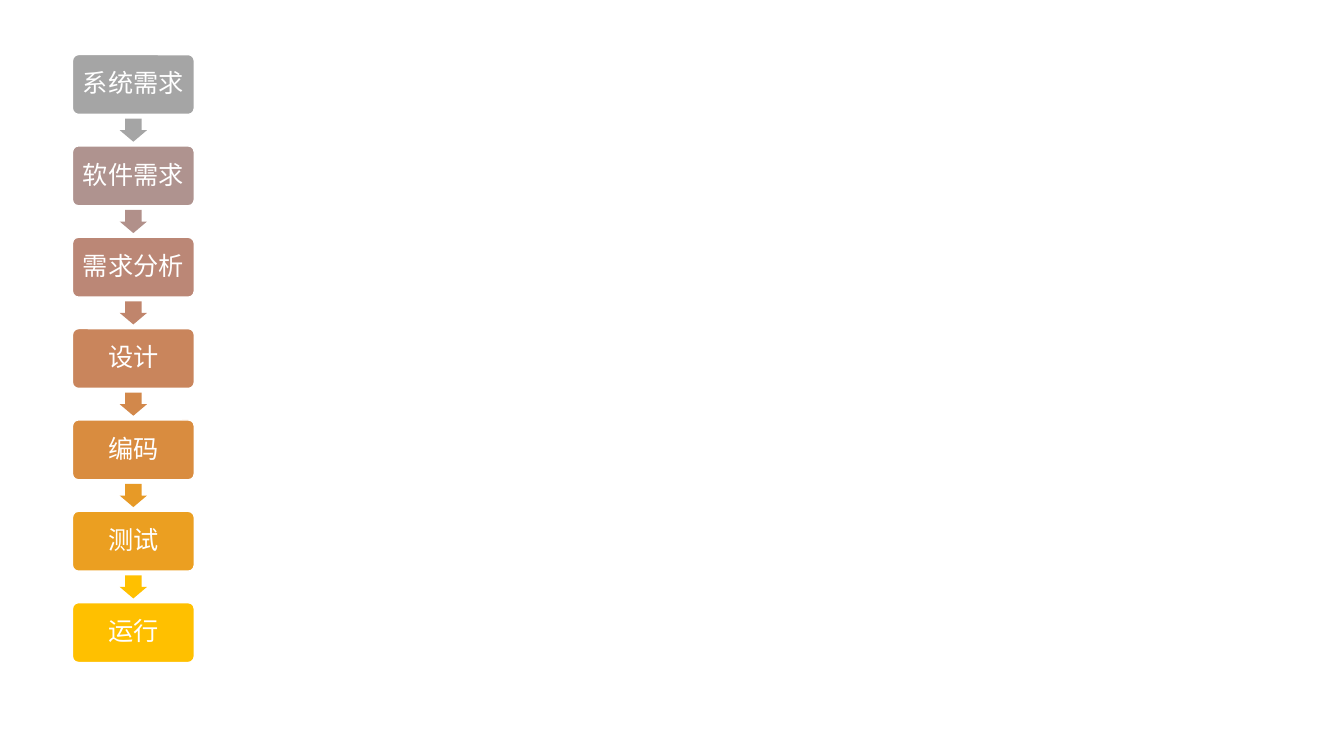
from lxml.etree import SubElement
from pptx import Presentation
from pptx.dml.color import RGBColor
from pptx.enum.shapes import MSO_SHAPE
from pptx.enum.text import MSO_ANCHOR, PP_ALIGN
from pptx.oxml.ns import qn
from pptx.util import Pt

PX = 9525  # EMU per px, 96 px to the inch

THEME = {
    "font": "Noto Sans CJK SC",
    "size": 18,
    "white": "FFFFFF",
    "steps": ["A5A5A5", "AF938F", "BB8776", "C9855C", "D98C3F", "EB9F21", "FFC000"],
    "arrows": ["A5A5A5", "B1908A", "C0856C", "D2884B", "E79A27", "FFC000"],
}

STEPS = ["系统需求", "软件需求", "需求分析", "设计", "编码", "测试", "运行"]
LEFT, TOP, WIDTH, HEIGHT, PITCH = 69, 52, 116, 57, 87
ARROW_LENGTH, ARROW_BREADTH, ARROW_OFFSET = 22, 26, 59
INSET = 7


def add_filled(page, kind, left, top, width, height, color, adjustments):
    shape = page.shapes.add_shape(kind, left * PX, top * PX, width * PX, height * PX)
    shape.shadow.inherit = False
    shape.fill.solid()
    shape.fill.fore_color.rgb = RGBColor.from_string(color)
    for index, value in enumerate(adjustments):
        shape.adjustments[index] = value
    return shape


def write_text(box, text, *, size, color, font, inset):
    frame = box.text_frame
    frame.word_wrap = True
    frame.vertical_anchor = MSO_ANCHOR.MIDDLE
    frame.margin_left = frame.margin_right = inset * PX
    frame.margin_top = frame.margin_bottom = inset * PX
    para = frame.paragraphs[0]
    para.alignment = PP_ALIGN.CENTER
    para.line_spacing = 0.9
    para.space_after = Pt(0.35 * size)
    span = para.add_run()
    span.text = text
    span.font.size = Pt(size)
    span.font.color.rgb = RGBColor.from_string(color)
    span.font.name = font
    SubElement(span.font._element, qn("a:ea"), typeface=font)


deck = Presentation()
deck.slide_width, deck.slide_height = 1280 * PX, 720 * PX
page = deck.slides.add_slide(deck.slide_layouts[6])

# Waterfall steps from top to bottom
for index, (label, color) in enumerate(zip(STEPS, THEME["steps"])):
    box = add_filled(page, MSO_SHAPE.ROUNDED_RECTANGLE, LEFT, TOP + index * PITCH,
                     WIDTH, HEIGHT, color, [0.1])
    box.line.color.rgb = RGBColor.from_string(THEME["white"])
    box.line.width = Pt(1)
    write_text(box, label, size=THEME["size"], color=THEME["white"],
               font=THEME["font"], inset=INSET)

# Arrows between the steps, turned to point down
arrow_left = LEFT + (WIDTH - ARROW_LENGTH) // 2
for index, color in enumerate(THEME["arrows"]):
    arrow = add_filled(page, MSO_SHAPE.RIGHT_ARROW, arrow_left,
                       TOP + ARROW_OFFSET + index * PITCH,
                       ARROW_LENGTH, ARROW_BREADTH, color, [0.6, 0.5])
    arrow.rotation = 90
    arrow.line.fill.background()

deck.save("out.pptx")
